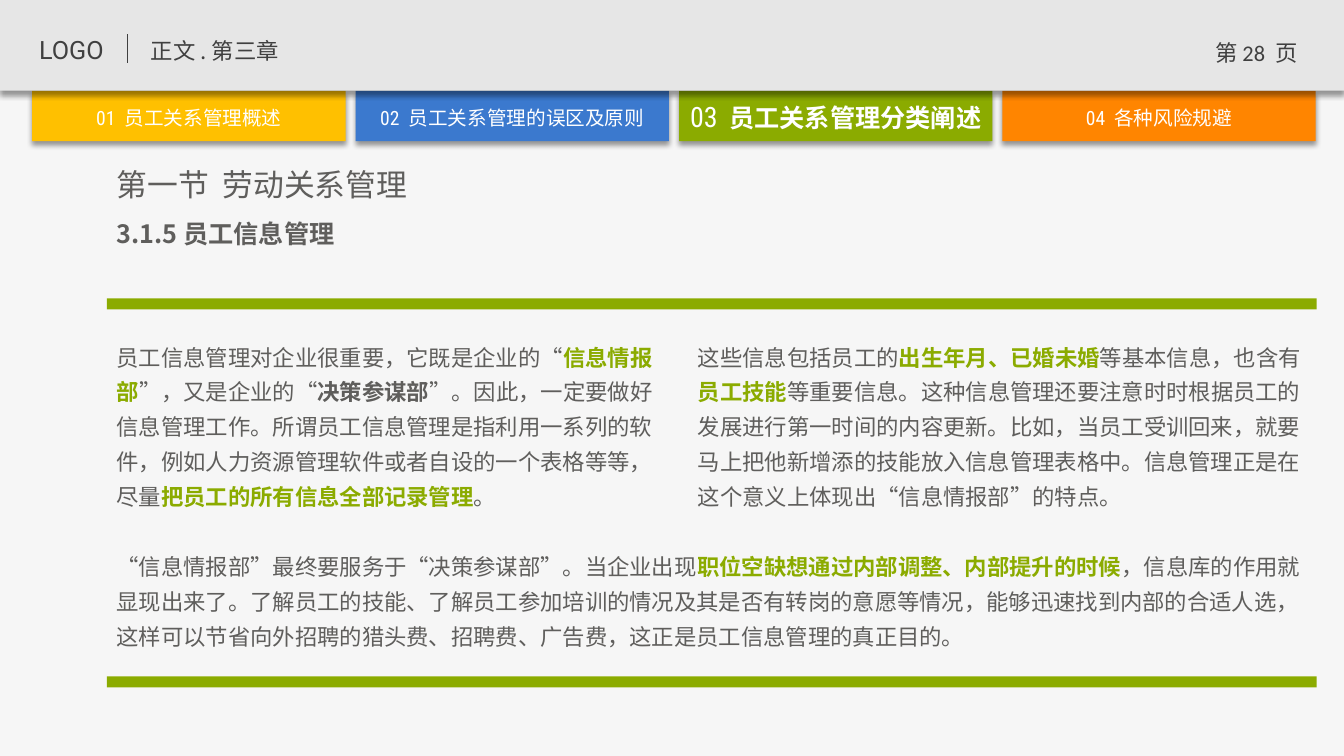
from dataclasses import dataclass

from lxml.etree import SubElement
from pptx import Presentation
from pptx.dml.color import RGBColor
from pptx.enum.shapes import MSO_CONNECTOR, MSO_SHAPE
from pptx.enum.text import MSO_ANCHOR, PP_ALIGN
from pptx.oxml.ns import qn
from pptx.util import Inches, Pt


@dataclass(frozen=True)
class Theme:
    page: str = "F6F6F6"
    header: str = "E6E6E6"
    dark: str = "404040"
    body: str = "5F5E5C"
    white: str = "FFFFFF"
    yellow: str = "FFC000"
    blue: str = "3B79CE"
    green: str = "8BAB00"
    orange: str = "FF8500"
    cjk: str = "Noto Sans CJK SC"
    latin: str = "Roboto"
    narrow: str = "Roboto Condensed"
    digit: str = "Calibri"
    small: int = 14
    text: int = 16
    title: int = 18
    large: int = 20
    section: int = 22


THEME = Theme()


@dataclass(frozen=True)
class Span:
    text: str
    size: int = THEME.text
    color: str = THEME.body
    bold: bool = False
    font: str = THEME.cjk


@dataclass(frozen=True)
class Box:
    left: float
    top: float
    width: float
    height: float

    def place(self) -> tuple:
        return tuple(Inches(n) for n in (self.left, self.top, self.width, self.height))


@dataclass(frozen=True)
class Block:
    box: Box
    spans: list[Span]
    center: bool = False
    tight: bool = False
    spacing: float = 1.0
    after: int = 0


@dataclass(frozen=True)
class Tab:
    color: str
    spans: list[Span]
    top: float = 1.05
    height: float = 0.24


def add_bar(slide, box: Box, color: str, shadow: bool = False) -> None:
    bar = slide.shapes.add_shape(MSO_SHAPE.RECTANGLE, *box.place())
    bar.fill.solid()
    bar.fill.fore_color.rgb = RGBColor.from_string(color)
    bar.line.fill.background()
    bar.shadow.inherit = False
    if shadow:
        effects = bar._element.spPr.find(qn("a:effectLst"))
        outer = SubElement(effects, qn("a:outerShdw"), blurRad=str(Pt(4)),
                           dist=str(Pt(3)), dir="5400000", algn="t", rotWithShape="0")
        black = SubElement(outer, qn("a:srgbClr"), val="000000")
        SubElement(black, qn("a:alpha"), val="40000")


def add_text(slide, block: Block) -> None:
    frame = slide.shapes.add_textbox(*block.box.place()).text_frame
    frame.word_wrap = True
    if block.tight:
        frame.vertical_anchor = MSO_ANCHOR.MIDDLE
        frame.margin_left = frame.margin_right = 0
        frame.margin_top = frame.margin_bottom = 0
    para = frame.paragraphs[0]
    para.alignment = PP_ALIGN.CENTER if block.center else PP_ALIGN.LEFT
    para.line_spacing = block.spacing
    para.space_after = Pt(block.after)
    for span in block.spans:
        run = para.add_run()
        run.text = span.text
        font = run.font
        font.size, font.bold, font.name = Pt(span.size), span.bold, span.font
        font.color.rgb = RGBColor.from_string(span.color)
        # East Asian glyphs use the same family
        SubElement(run._r.get_or_add_rPr(), qn("a:ea"), typeface=span.font)


def add_rule(slide, left: float, top: float, bottom: float) -> None:
    rule = slide.shapes.add_connector(MSO_CONNECTOR.STRAIGHT, Inches(left), Inches(top),
                                      Inches(left), Inches(bottom))
    rule.line.color.rgb = RGBColor.from_string(THEME.dark)
    rule.line.width = Pt(0.75)
    SubElement(rule._element.spPr, qn("a:effectLst"))


def label(text: str, font: str = THEME.cjk, size: int = THEME.text) -> Span:
    return Span(text, size, THEME.dark, font=font)


def mark(text: str) -> Span:
    return Span(text, color=THEME.green, bold=True)


def quiet(number: str, name: str) -> list[Span]:
    return [Span(number + "  ", THEME.small, THEME.white, font=THEME.narrow),
            Span(name, THEME.small, THEME.white)]


TABS = [
    Tab(THEME.yellow, quiet("01", "员工关系管理概述")),
    Tab(THEME.blue, quiet("02", "员工关系管理的误区及原则")),
    Tab(THEME.green, [
        Span("03", THEME.large, THEME.white, font=THEME.narrow),
        Span("  ", THEME.title, THEME.white, font=THEME.narrow),
        Span("员工关系管理分类阐述", THEME.title, THEME.white, True),
    ], 0.98, 0.34),
    Tab(THEME.orange, quiet("04", "各种风险规避")),
]

HEADER = [
    Block(Box(0.29, 0.29, 0.98, 0.4), [label("LOGO", THEME.latin, THEME.title)]),
    Block(Box(1.4, 0.32, 3.27, 0.37), [label("正文 . 第三章")]),
    Block(Box(11.87, 0.34, 1.2, 0.4),
          [label("第 "), label("28  ", THEME.digit), label("页")], center=True),
]

LEFT, WIDE = 1.06, 12.01
BODY = [
    Block(Box(LEFT, 1.59, 5.44, 0.47), [Span("第一节  劳动关系管理", THEME.section)]),
    Block(Box(LEFT, 2.03, 5.77, 0.49),
          [Span("3.1.5 员工信息管理", THEME.title, bold=True)], spacing=1.3),
    Block(Box(LEFT, 3.28, 5.61, 1.85), [
        Span("员工信息管理对企业很重要，它既是企业的“"),
        mark("信息情报部"),
        Span("”，又是企业的“"),
        Span("决策参谋部", bold=True),
        Span("”。因此，一定要做好信息管理工作。所谓员工信息管理是指利用一系列的软件，"
             "例如人力资源管理软件或者自设的一个表格等等，尽量"),
        mark("把员工的所有信息全部记录管理"),
        Span("。"),
    ], spacing=1.3),
    Block(Box(6.83, 3.28, 6.24, 1.85), [
        Span("这些信息包括员工的"),
        mark("出生年月、已婚未婚"),
        Span("等基本信息，也含有"),
        mark("员工技能"),
        Span("等重要信息。这种信息管理还要注意时时根据员工的发展进行第一时间的内容更新。"
             "比如，当员工受训回来，就要马上把他新增添的技能放入信息管理表格中。"
             "信息管理正是在这个意义上体现出“信息情报部”的特点。"),
    ], spacing=1.3),
    Block(Box(LEFT, 5.36, WIDE, 1.15), [
        Span("“信息情报部”最终要服务于“决策参谋部”。当企业出现"),
        mark("职位空缺想通过内部调整、内部提升的时候"),
        Span("，信息库的作用就显现出来了。了解员工的技能、了解员工参加培训的情况及其是否有"
             "转岗的意愿等情况，能够迅速找到内部的合适人选，这样可以节省向外招聘的猎头费、"
             "招聘费、广告费，这正是员工信息管理的真正目的。"),
    ], spacing=1.3, after=6),
]


def main() -> None:
    deck = Presentation()
    deck.slide_width, deck.slide_height = Inches(13.34), Inches(7.5)
    slide = deck.slides.add_slide(deck.slide_layouts[6])
    slide.background.fill.solid()
    slide.background.fill.fore_color.rgb = RGBColor.from_string(THEME.page)

    # Chapter tabs, tucked under the header band
    start, step, width = 0.32, 3.21, 3.11
    for i, tab in enumerate(TABS):
        left = start + i * step
        add_bar(slide, Box(left, 0.9, width, 0.5), tab.color, shadow=True)
        add_text(slide, Block(Box(left, tab.top, width, tab.height), tab.spans,
                              center=True, tight=True))

    # Header band
    add_bar(slide, Box(0, 0, 13.34, 0.9), THEME.header, shadow=True)
    add_rule(slide, 1.27, 0.34, 0.63)

    # Header labels, headings and body text
    for block in HEADER + BODY:
        add_text(slide, block)

    # Green bars above and below the body
    for top in (2.96, 6.71):
        add_bar(slide, Box(LEFT, top, WIDE, 0.11), THEME.green)

    deck.save("out.pptx")


if __name__ == "__main__":
    main()
